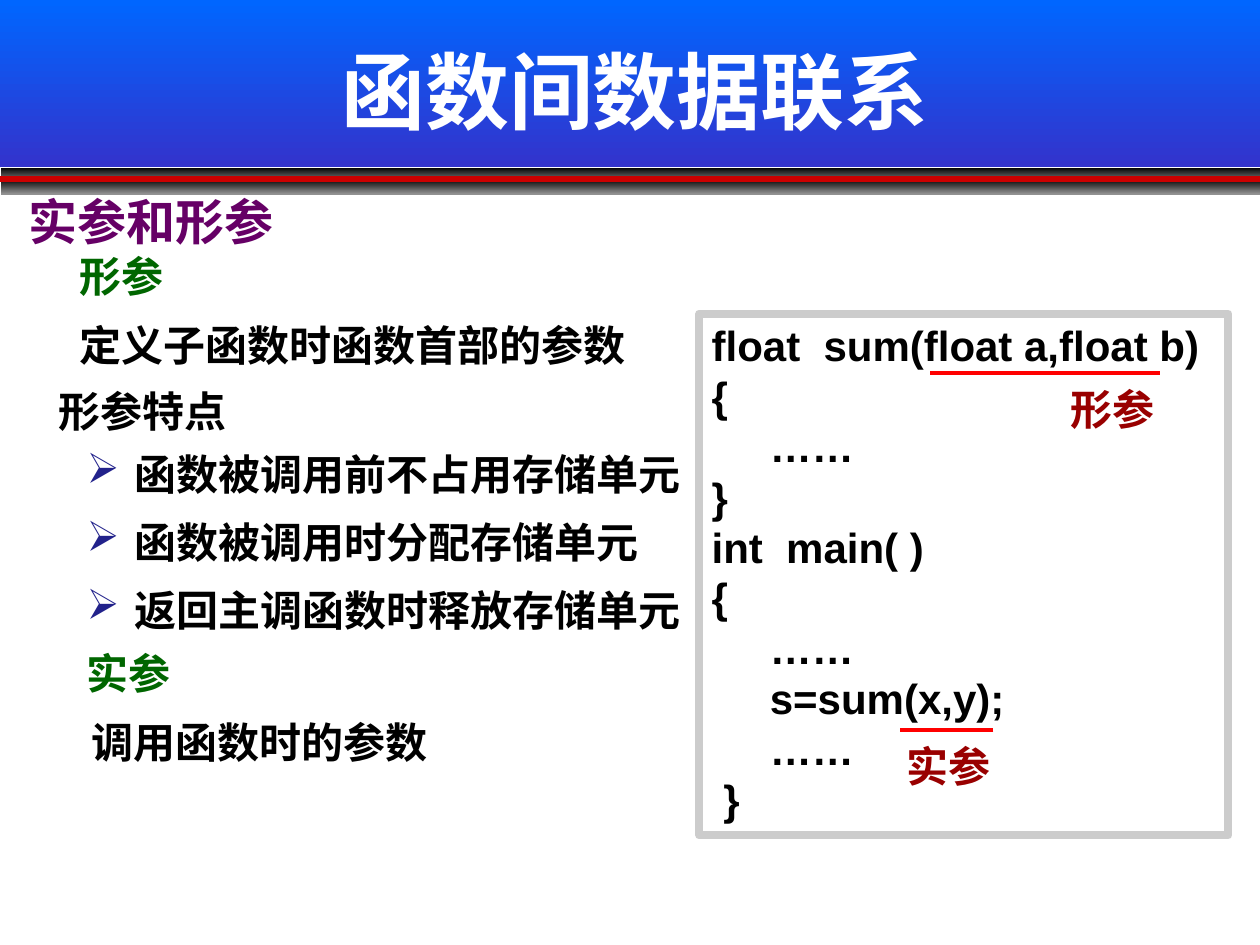
from dataclasses import dataclass

from lxml import etree
from pptx import Presentation
from pptx.dml.color import RGBColor
from pptx.enum.shapes import MSO_CONNECTOR, MSO_SHAPE
from pptx.enum.text import MSO_ANCHOR, PP_ALIGN
from pptx.oxml.ns import qn
from pptx.util import Inches, Pt

LEFT, CENTER = PP_ALIGN.LEFT, PP_ALIGN.CENTER
TOP, MIDDLE = MSO_ANCHOR.TOP, MSO_ANCHOR.MIDDLE
RECT, CALLOUT = MSO_SHAPE.RECTANGLE, MSO_SHAPE.LINE_CALLOUT_1_NO_BORDER
STRAIGHT = MSO_CONNECTOR.STRAIGHT


@dataclass(frozen=True)
class Theme:
    latin: str = "Arial"
    cjk: str = "Noto Sans CJK SC"
    title_size: int = 48
    heading_size: int = 28
    body_size: int = 24
    white: str = "FFFFFF"
    black: str = "000000"
    purple: str = "660066"
    green: str = "006600"
    label: str = "990000"
    bullet: str = "22228B"
    underline: str = "FF0000"
    rule: str = "CC0000"
    frame: str = "CCCCCC"
    banner: tuple = ("0066FF", "3333CC")
    shade: tuple = ("000000", "929292")


THEME = Theme()
rgb = RGBColor.from_string


class SlideBuilder:
    def __init__(self, slide, theme):
        self.s = slide
        self.theme = theme

    def gradient_bar(self, box, colors):
        sp = self.s.shapes.add_shape(RECT, *map(Inches, box))
        sp.shadow.inherit = False
        sp.line.fill.background()
        sp.fill.gradient()
        sp.fill.gradient_angle = 270
        for stop, color in zip(sp.fill.gradient_stops, colors):
            stop.color.rgb = rgb(color)

    def rule(self, x1, x2, y, color, width):
        cx = self.s.shapes.add_connector(STRAIGHT, *map(Inches, (x1, y, x2, y)))
        cx.line.color.rgb = rgb(color)
        cx.line.width = Pt(width)
        etree.SubElement(cx._element.spPr, qn("a:effectLst"))

    def outlined(self, kind, box, color, width):
        sp = self.s.shapes.add_shape(kind, *map(Inches, box))
        sp.shadow.inherit = False
        sp.fill.background()
        sp.line.color.rgb = rgb(color)
        sp.line.width = Pt(width)
        return sp

    def fill_text(self, sp, lines, color, font, size=None, align=LEFT, anchor=TOP,
                  bullet=None, space=0):
        tf = sp.text_frame
        tf.word_wrap = True
        tf.vertical_anchor = anchor
        style = {"name": font, "size": Pt(size or self.theme.body_size), "bold": True}
        for i, line in enumerate(lines):
            p = tf.paragraphs[0] if i == 0 else tf.add_paragraph()
            p.alignment = align
            if i and space:
                p.space_before = Pt(space)
            if bullet:
                self.add_bullet(p, bullet)
            r = p.add_run()
            r.text = line
            for key, value in style.items():
                setattr(r.font, key, value)
            r.font.color.rgb = rgb(color)
            ea = etree.SubElement(r.font._element, qn("a:ea"))
            ea.set("typeface", self.theme.cjk)

    def add_bullet(self, p, char):
        pPr = p._p.get_or_add_pPr()
        pPr.set("marL", str(Inches(0.38)))
        pPr.set("indent", str(Inches(-0.38)))
        clr = etree.SubElement(pPr, qn("a:buClr"))
        etree.SubElement(clr, qn("a:srgbClr")).set("val", self.theme.bullet)
        etree.SubElement(pPr, qn("a:buChar")).set("char", char)

    def text(self, box, lines, color, font, **fmt):
        sp = self.s.shapes.add_textbox(*map(Inches, box))
        self.fill_text(sp, lines, color, font, **fmt)

    def code(self, box, lines):
        sp = self.outlined(RECT, box, self.theme.frame, 4.5)
        self.fill_text(sp, lines, self.theme.black, self.theme.latin)

    def underline_label(self, box, text, line_ends):
        """Label whose callout line underlines the code above it."""
        sp = self.outlined(CALLOUT, box, self.theme.underline, 2.25)
        start, end = line_ends
        for i, value in enumerate((-0.176, start, -0.176, end)):
            sp.adjustments[i] = value
        sp.text_frame.margin_top = sp.text_frame.margin_bottom = 0
        self.fill_text(sp, [text], self.theme.label, self.theme.cjk, align=CENTER)


def main():
    prs = Presentation()
    prs.slide_width, prs.slide_height = Inches(10), Inches(7.5)
    t = THEME
    b = SlideBuilder(prs.slides.add_slide(prs.slide_layouts[6]), t)

    b.gradient_bar((0, 0, 10, 1.33), t.banner)
    for top in (1.33, 1.42):
        b.gradient_bar((0.01, top, 9.99, 0.12), t.shade)
    b.rule(0, 10, 1.42, t.rule, 3)
    b.text((0.5, 0.08, 9.08, 1.27), ["函数间数据联系"], t.white, t.latin,
           size=t.title_size, align=CENTER, anchor=MIDDLE)

    b.text((0.13, 1.47, 2.83, 0.57), ["实参和形参"], t.purple, t.cjk, size=t.heading_size)
    for left, top, width, text, color, font in (
        (0.53, 1.94, 1.5, "形参", t.green, t.cjk),
        (0.53, 2.49, 4.81, "定义子函数时函数首部的参数", t.black, t.latin),
        (0.37, 3.01, 3.16, "形参特点", t.black, t.cjk),
        (0.59, 5.09, 1.92, "实参", t.green, t.cjk),
        (0.63, 5.64, 3.93, "调用函数时的参数", t.black, t.latin),
    ):
        b.text((left, top, width, 0.5), [text], color, font)
    b.text((0.59, 3.51, 5.43, 1.59),
           ["函数被调用前不占用存储单元", "函数被调用时分配存储单元", "返回主调函数时释放存储单元"],
           t.black, t.latin, bullet="➢", space=10)

    b.code((5.55, 2.49, 4.2, 4.14), [
        "float  sum(float a,float b)",
        "{",
        "     ……",
        "}",
        "int  main( )",
        "{",
        "     ……",
        "     s=sum(x,y);",
        "     ……",
        " }",
    ])
    b.underline_label((8.33, 3.04, 1, 0.47), "形参", (0.875, -0.946))
    b.underline_label((7.05, 5.88, 0.96, 0.47), "实参", (0.87, 0.099))

    prs.save("out.pptx")


if __name__ == "__main__":
    main()
